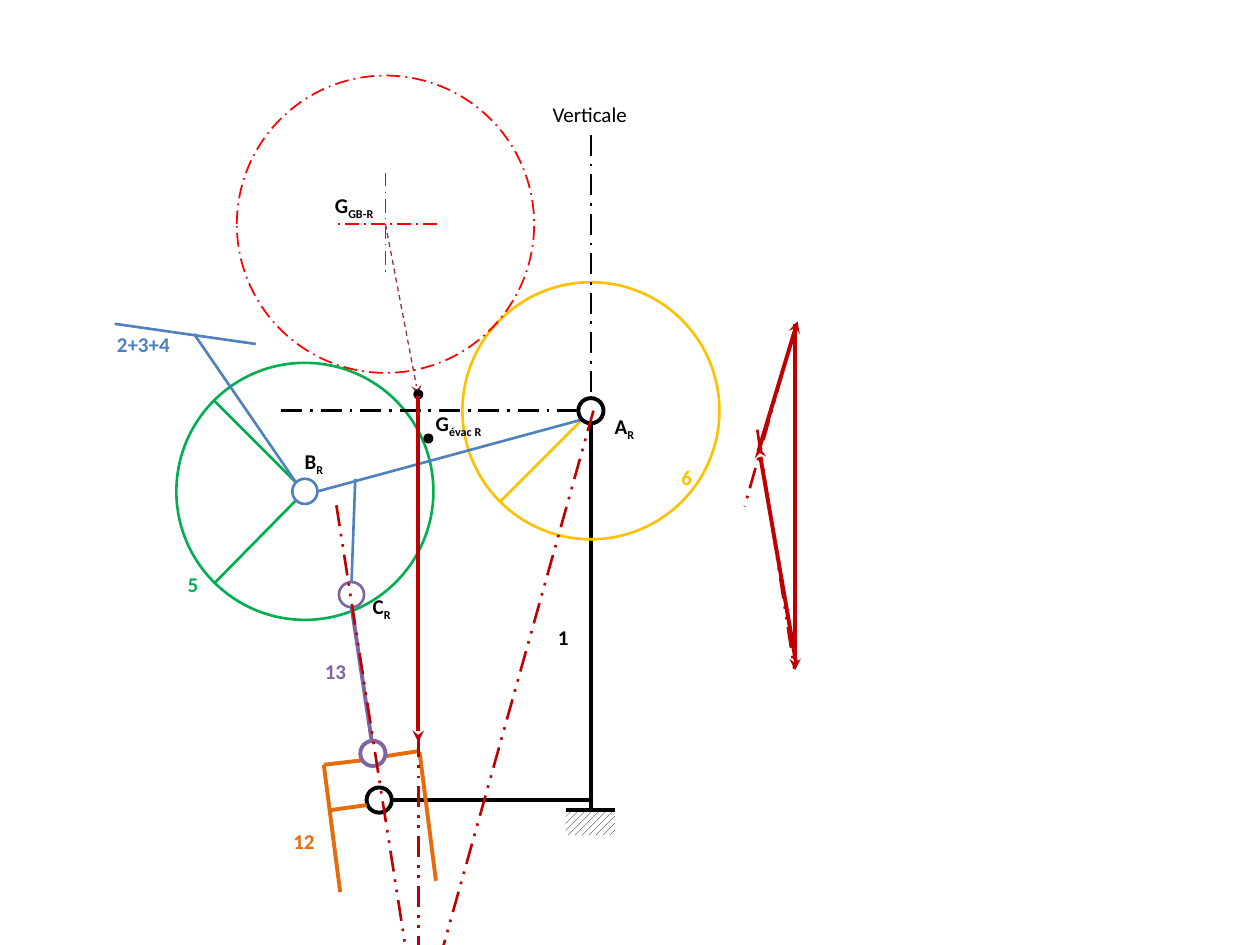
"""Draws the bale lifting mechanism with its lines of action and force triangle."""
from lxml.etree import SubElement
from pptx import Presentation
from pptx.dml.color import RGBColor
from pptx.enum.dml import MSO_LINE as Dash, MSO_PATTERN as Pattern
from pptx.enum.shapes import MSO_CONNECTOR as Connector, MSO_SHAPE as Shape
from pptx.enum.text import MSO_AUTO_SIZE as AutoSize, PP_ALIGN as Align
from pptx.oxml.ns import qn
from pptx.util import Inches, Pt

BLACK, WHITE, RED = "000000", "FFFFFF", "FF0000"
BLUE, GREEN, YELLOW = "4F81BD", "00B050", "FFC000"
ORANGE, PURPLE = "E46C0A", "8064A2"
BROWN, FORCE = "953735", "C00000"
AXIS, ACTION = Dash.LONG_DASH_DOT, Dash.DASH_DOT_DOT
THIN, MEDIUM, THICK = 1, 1.5, 2.25
PIN, DOT, WHEEL, BALE = 0.2, 0.08, 2.04, 2.36


def color(value):
    return RGBColor.from_string(value)


def add_text(para, text, size=12, bold=True, fill=BLACK, font="Calibri", baseline=0):
    span = para.add_run()
    span.text = text
    span.font.name = font
    span.font.size = Pt(size)
    span.font.bold = bold
    span.font.color.rgb = color(fill)
    if baseline:
        span.font._element.set("baseline", str(baseline * 1000))


class Diagram:
    def __init__(self, page):
        self.page = page

    def style_line(self, line, stroke, width, dash):
        line.color.rgb = color(stroke)
        line.width = Pt(width)
        if dash:
            line.dash_style = dash

    def line(self, start, end, stroke=BLACK, width=THICK, dash=None, arrow=False):
        points = [Inches(value) for value in (*start, *end)]
        link = self.page.shapes.add_connector(Connector.STRAIGHT, *points)
        self.style_line(link.line, stroke, width, dash)
        properties = link._element.spPr
        if arrow:
            SubElement(properties.find(qn("a:ln")), qn("a:tailEnd"), type="stealth")
        SubElement(properties, qn("a:effectLst"))

    def circle(self, center, size, stroke=None, width=MEDIUM, dash=None, fill=None):
        left, top = (Inches(value - size / 2) for value in center)
        ring = self.page.shapes.add_shape(
            Shape.OVAL, left, top, Inches(size), Inches(size))
        ring.shadow.inherit = False
        if fill:
            ring.fill.solid()
            ring.fill.fore_color.rgb = color(fill)
        else:
            ring.fill.background()
        if stroke:
            self.style_line(ring.line, stroke, width, dash)
        else:
            ring.line.fill.background()

    def hatch(self, left, top, width, height):
        ground = self.page.shapes.add_shape(
            Shape.RECTANGLE, *(Inches(value) for value in (left, top, width, height)))
        ground.shadow.inherit = False
        ground.line.fill.background()
        ground.fill.patterned()
        ground.fill.pattern = Pattern.WIDE_UPWARD_DIAGONAL
        ground.fill.fore_color.rgb = color(BLACK)
        ground.fill.back_color.rgb = color(WHITE)

    def label(self, text, left, top, width, sub="", fill=BLACK, bold=True, centered=False):
        box = self.page.shapes.add_textbox(
            Inches(left), Inches(top), Inches(width), Inches(0.3))
        frame = box.text_frame
        frame.word_wrap = centered
        frame.auto_size = AutoSize.SHAPE_TO_FIT_TEXT
        para = frame.paragraphs[0]
        if centered:
            para.alignment = Align.CENTER
        add_text(para, text, fill=fill, bold=bold)
        if sub:
            add_text(para, sub, baseline=-25)


def draw_mechanism(diagram):
    pivot_a, pivot_b, pivot_c = (4.69, 3.26), (2.42, 3.9), (2.79, 4.72)

    diagram.hatch(4.49, 6.43, 0.39, 0.2)
    for start, end in [((4.69, 3.36), (4.69, 6.43)),
                       ((3.11, 6.35), (4.69, 6.35)),
                       ((4.49, 6.43), (4.88, 6.43))]:
        diagram.line(start, end)
    diagram.circle((3.01, 6.35), PIN, BLACK, THICK)
    diagram.circle(pivot_a, WHEEL, YELLOW)
    diagram.circle(pivot_b, WHEEL, GREEN)

    diagram.line((2.79, 4.81), (2.95, 5.88), PURPLE)
    for start, end in [((2.57, 6.07), (2.7, 7.08)), ((3.33, 5.97), (3.46, 6.99)),
                       ((2.91, 6.03), (2.57, 6.07)), ((3.33, 5.96), (3.07, 6)),
                       ((2.91, 6.39), (2.62, 6.43))]:
        diagram.line(start, end, ORANGE)
    diagram.circle((2.96, 5.98), PIN, PURPLE, THICK, fill=WHITE)

    for start, end, stroke in [((2.35, 3.97), (1.7, 4.63), GREEN),
                               ((2.35, 3.83), (1.7, 3.18), GREEN),
                               ((2.35, 3.83), (1.54, 2.65), BLUE),
                               ((2.03, 2.73), (0.91, 2.57), BLUE),
                               ((4.62, 3.33), (3.97, 3.98), YELLOW),
                               ((2.82, 3.8), (2.79, 4.62), BLUE),
                               ((2.52, 3.9), (4.62, 3.33), BLUE)]:
        diagram.line(start, end, stroke, MEDIUM)
    diagram.circle((3.06, 1.78), BALE, RED, THIN, AXIS)
    diagram.circle(pivot_b, PIN, BLUE)
    diagram.circle(pivot_c, PIN, PURPLE)
    diagram.circle(pivot_a, PIN, BLACK, THICK)

    for start, end, stroke, width in [((3.06, 1.37), (3.06, 2.19), RED, THIN),
                                      ((3.47, 1.78), (2.65, 1.78), RED, THIN),
                                      ((4.69, 1.07), (4.69, 3.16), BLACK, MEDIUM),
                                      ((4.59, 3.26), (2.17, 3.26), BLACK, MEDIUM)]:
        diagram.line(start, end, stroke, width, AXIS)


def draw_labels(diagram):
    for text, left, top, width, fill in [("5", 1.39, 4.49, 0.29, GREEN),
                                         ("2+3+4", 0.83, 2.58, 0.63, BLUE),
                                         ("6", 5.31, 3.64, 0.29, YELLOW),
                                         ("1", 4.33, 4.91, 0.29, BLACK),
                                         ("13", 2.48, 5.18, 0.37, PURPLE),
                                         ("12", 2.23, 6.53, 0.37, ORANGE)]:
        diagram.label(text, left, top, width, fill=fill)
    for text, sub, left, top, width in [("C", "R", 2.86, 4.66, 0.35),
                                        ("B", "R", 2.32, 3.51, 0.36),
                                        ("G", "GB-R", 2.56, 1.48, 0.54),
                                        ("A", "R", 4.78, 3.23, 0.37),
                                        ("G", "évac R", 3.36, 3.21, 0.62)]:
        diagram.label(text, left, top, width, sub)
    diagram.label("Verticale", 4.02, 0.76, 1.32, bold=False, centered=True)


def draw_forces(diagram):
    center = (3.32, 3.14)
    diagram.circle((3.4, 3.48), DOT, fill=BLACK)
    diagram.line((3.06, 1.78), center, BROWN, 0.75, Dash.DASH, arrow=True)
    diagram.circle((3.32, 3.13), DOT, fill=BLACK)
    for start, end in [((2.67, 4.01), (3.35, 8.36)), ((3.32, 3.86), (3.32, 8.36)),
                       ((4.71, 3.26), (3.28, 8.36)), ((6.32, 2.57), (5.91, 4.02)),
                       ((6.01, 3.41), (6.31, 5.35))]:
        diagram.line(start, end, FORCE, MEDIUM, ACTION)
    for start, end in [(center, (3.32, 5.89)), ((6.31, 2.57), (6.31, 5.32)),
                       ((6.02, 3.58), (6.33, 2.55)), ((6.32, 5.27), (6.02, 3.54))]:
        diagram.line(start, end, FORCE, arrow=True)


def main():
    deck = Presentation()
    deck.slide_width, deck.slide_height = Inches(10), Inches(7.5)
    diagram = Diagram(deck.slides.add_slide(deck.slide_layouts[6]))
    draw_mechanism(diagram)
    draw_labels(diagram)
    draw_forces(diagram)
    deck.save("out.pptx")


if __name__ == "__main__":
    main()
